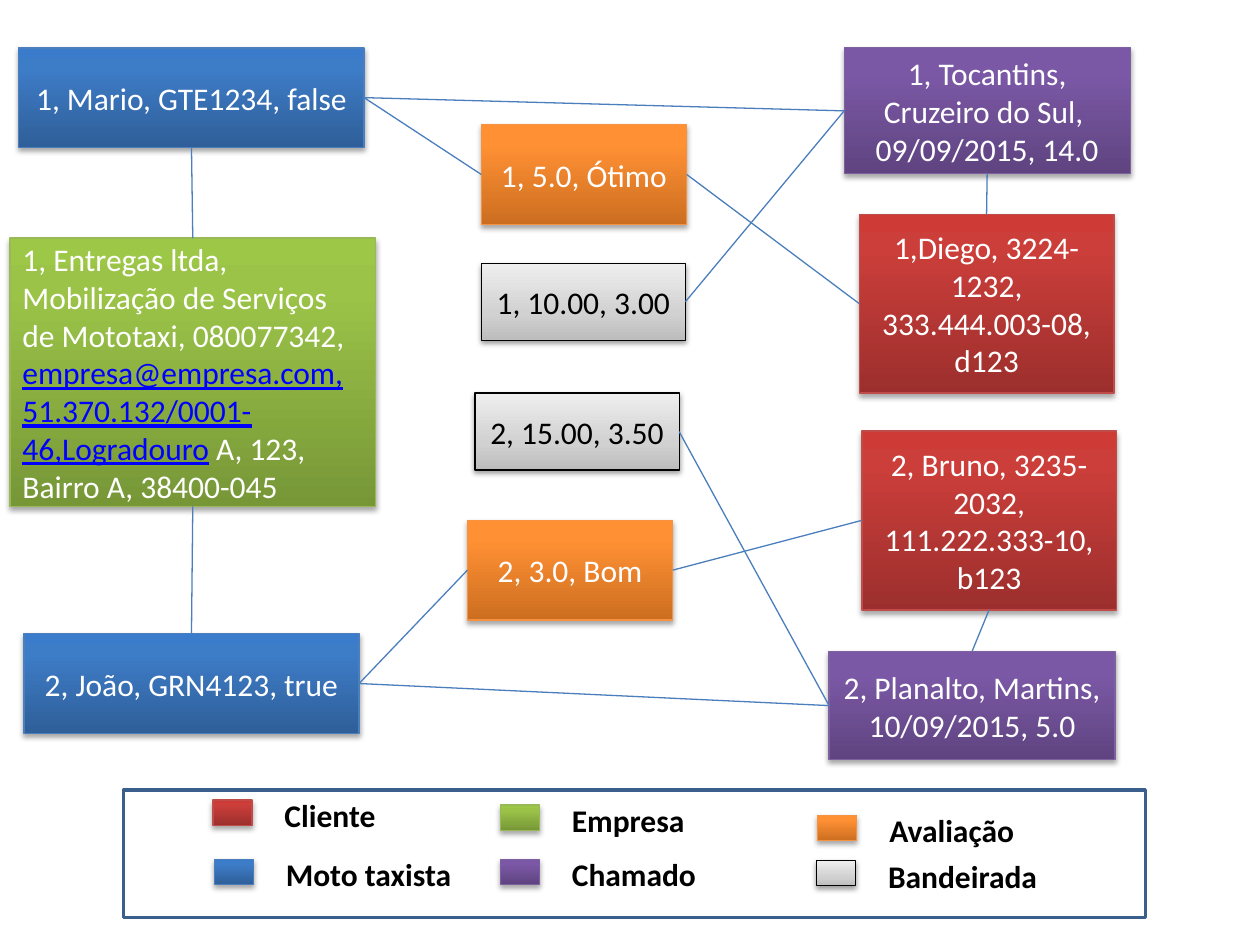
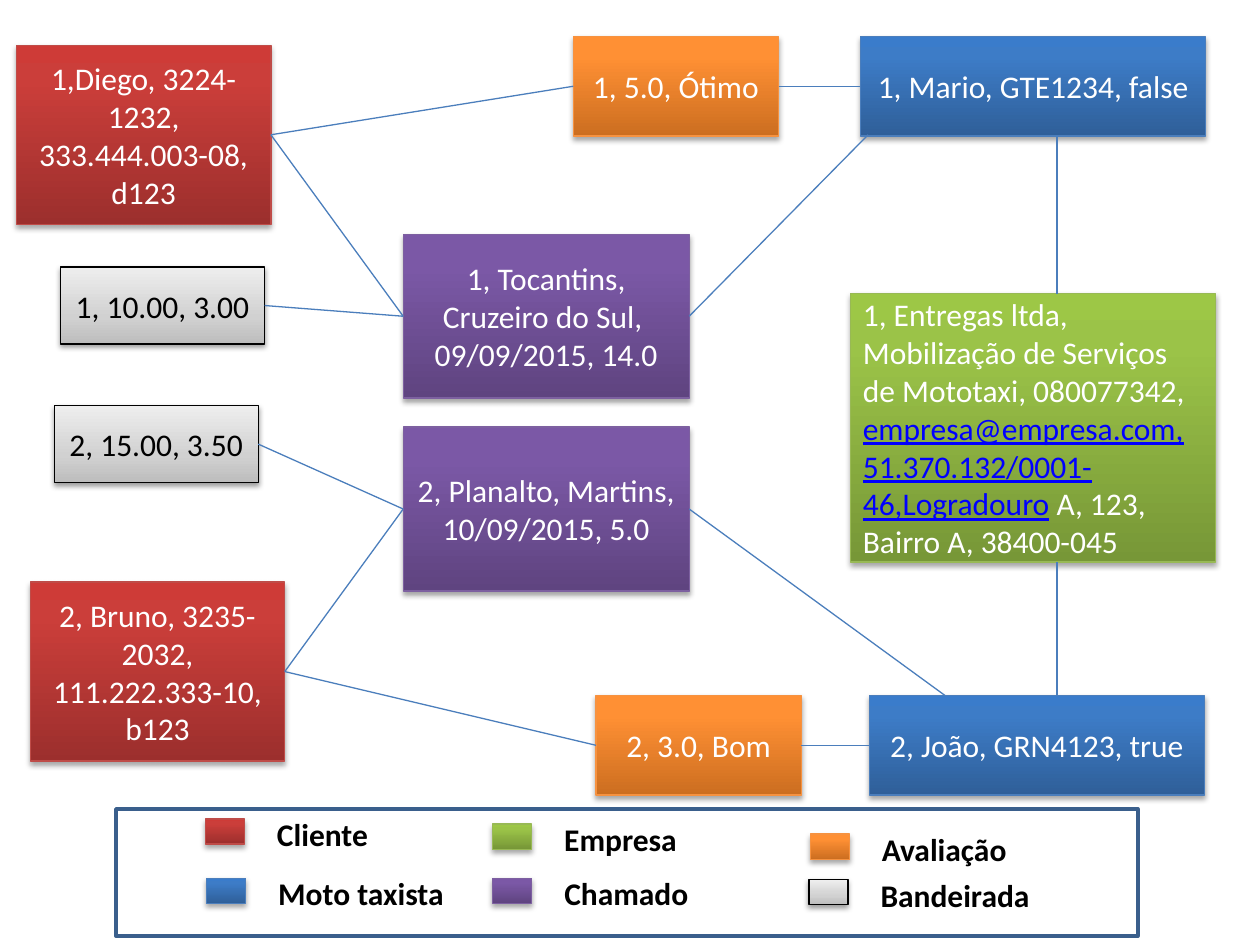
from copy import deepcopy
from dataclasses import dataclass

from pptx import Presentation
from pptx.dml.color import RGBColor
from pptx.enum.shapes import MSO_CONNECTOR as Connector, MSO_SHAPE as Shape
from pptx.enum.text import MSO_ANCHOR as Anchor, MSO_AUTO_SIZE as AutoSize, PP_ALIGN as Align
from pptx.oxml import parse_xml
from pptx.oxml.ns import nsdecls, qn
from pptx.util import Inches, Pt

FONT = "Calibri"
TEXT_SIZE = 18
WHITE, BLACK, LINK_BLUE = "FFFFFF", "000000", "0000FF"
CONNECTOR_LINE, FRAME_LINE = "4B7EBC", "3A5F8C"
FRAME_SIZE = (8.11, 1.01)
SWATCH_SIZE = (0.31, 0.2)

# Connection sites of a rectangle
TOP, LEFT, BOTTOM, RIGHT = range(4)


@dataclass
class Kind:
    """Look of one entity type and its entry in the legend."""
    label: str
    label_width: float
    swatch: tuple  # offset from the corner of the legend frame
    stops: tuple  # colours from bottom to top
    line: str
    middle: float = 0.8
    font: str = WHITE
    shadow_opacity: int = 35
    shadow_distance: float = 1.8


CLIENT = Kind("Cliente", 0.93, (0.71, 0.08), ("9C2F2D", "CB3E3A", "CE3B37"), "BF4C48")
DRIVER = Kind("Moto taxista", 1.53, (0.72, 0.55), ("2F5F99", "3D7CC7", "3A7CCB"), "4B7EBC")
COMPANY = Kind("Empresa", 1.1, (2.99, 0.12), ("779737", "9BC348", "9DC746"), "98B955")
CALL = Kind("Chamado", 1.19, (2.99, 0.55), ("5F4480", "7B58A6", "7C57A8"), "7D60A0")
RATING = Kind("Avaliação", 1.2, (5.51, 0.2), ("CC6E20", "FF9034", "FF9136"), "F69240")
FARE = Kind("Bandeirada", 1.39, (5.5, 0.56), ("BDBDBD", "D1D1D1", "EEEEEE"), BLACK,
            0.35, BLACK, 38, 1.6)
KINDS = (CLIENT, DRIVER, COMPANY, CALL, RATING, FARE)

# Record: kind, width, height, text pieces (every second piece looks like a link)
RECORDS = {
    "entregas": (COMPANY, 2.9, 2.13, (
        "1, Entregas ltda, Mobilização de Serviços de Mototaxi, 080077342, ",
        "empresa@empresa.com, 51.370.132/0001-46,Logradouro",
        " A, 123, Bairro A, 38400-045")),
    "mario": (DRIVER, 2.74, 0.79, ("1, Mario, GTE1234, false",)),
    "joao": (DRIVER, 2.66, 0.79, ("2, João, GRN4123, true",)),
    "otimo": (RATING, 1.63, 0.79, ("1, 5.0, Ótimo",)),
    "bom": (RATING, 1.63, 0.79, ("2, 3.0, Bom",)),
    "diego": (CLIENT, 2.02, 1.42, ("1,Diego, 3224-1232, 333.444.003-08, d123",)),
    "bruno": (CLIENT, 2.02, 1.42, ("2, Bruno, 3235-2032, 111.222.333-10, b123",)),
    "tocantins": (CALL, 2.27, 1.3, ("1, Tocantins, Cruzeiro do Sul,  09/09/2015, 14.0",)),
    "planalto": (CALL, 2.27, 1.3, ("2, Planalto, Martins, 10/09/2015, 5.0",)),
    "fare 1": (FARE, 1.62, 0.61, ("1, 10.00, 3.00",)),
    "fare 2": (FARE, 1.62, 0.61, ("2, 15.00, 3.50",)),
}

# Places: left, top and, where it differs from the record, height.
# Link ends: (record, site) or a free point (x, y).
DIAGRAMS = (
    {
        "legend": (0.98, 6.27),
        "places": {
            "entregas": (0.08, 1.89), "mario": (0.15, 0.38), "joao": (0.19, 5.03),
            "bom": (3.71, 4.13), "otimo": (3.82, 0.99), "diego": (6.82, 1.7),
            "tocantins": (6.7, 0.38, 1), "bruno": (6.84, 3.42),
            "planalto": (6.58, 5.17, 0.86), "fare 1": (3.82, 2.09), "fare 2": (3.77, 3.12),
        },
        "links": (
            (("otimo", LEFT), ("mario", RIGHT)),
            (("bom", LEFT), ("joao", RIGHT)),
            (("mario", RIGHT), ("tocantins", LEFT)),
            (("joao", RIGHT), ("planalto", LEFT)),
            (("otimo", RIGHT), ("diego", LEFT)),
            (("bom", RIGHT), ("bruno", LEFT)),
            (("fare 1", RIGHT), ("tocantins", LEFT)),
            (("fare 2", RIGHT), ("planalto", LEFT)),
            (("bruno", BOTTOM), ("planalto", TOP)),
            (("diego", TOP), ("tocantins", BOTTOM)),
            (("joao", TOP), ("entregas", BOTTOM)),
            (("entregas", TOP), ("mario", BOTTOM)),
        ),
    },
    {
        "legend": (0.92, 6.42),
        "places": {
            "entregas": (6.75, 2.33), "mario": (6.83, 0.29), "joao": (6.9, 5.52),
            "bom": (4.73, 5.52), "otimo": (4.55, 0.29), "diego": (0.13, 0.36),
            "tocantins": (3.2, 1.86), "bruno": (0.24, 4.62), "planalto": (3.2, 3.39),
            "fare 1": (0.48, 2.12), "fare 2": (0.43, 3.22),
        },
        "links": (
            ((8.39, 5.52), (8.39, 4.46)),
            ((8.39, 2.33), (8.39, 1.07)),
            (("otimo", RIGHT), ("mario", LEFT)),
            (("bom", RIGHT), ("joao", LEFT)),
            ((6.89, 1.07), ("tocantins", RIGHT)),
            ((7.5, 5.52), ("planalto", RIGHT)),
            (("otimo", LEFT), ("diego", RIGHT)),
            (("bom", LEFT), ("bruno", RIGHT)),
            (("fare 1", RIGHT), ("tocantins", LEFT)),
            (("fare 2", RIGHT), ("planalto", LEFT)),
            (("bruno", RIGHT), ("planalto", LEFT)),
            (("diego", RIGHT), ("tocantins", LEFT)),
        ),
    },
)


def color(hex_string):
    """Turn a hex string into a colour."""
    return RGBColor.from_string(hex_string)


def set_line(line, hex_string, width=0.75):
    """Give a line its colour and its width in points."""
    line.color.rgb = color(hex_string)
    line.width = Pt(width)


def add_run(paragraph, text, hex_string, bold=False, underline=False):
    """Append one formatted run."""
    run = paragraph.add_run()
    run.text = text
    run.font.name = FONT
    run.font.size = Pt(TEXT_SIZE)
    run.font.bold = bold
    run.font.underline = underline
    run.font.color.rgb = color(hex_string)


def add_box(slide, preset, left, top, width, height):
    """Add a preset shape without the theme's shadow."""
    shape = slide.shapes.add_shape(preset, Inches(left), Inches(top), Inches(width), Inches(height))
    shape.shadow.inherit = False
    return shape


def style_box(shape, kind):
    """Apply the gradient, line and soft shadow of a kind."""
    shape.fill.gradient()
    shape.fill.gradient_angle = 90
    properties = shape._element.spPr
    stop_list = properties.find(".//" + qn("a:gsLst"))
    stop_list.append(deepcopy(stop_list[0]))
    for stop, position, hex_string in zip(shape.fill.gradient_stops, (0, kind.middle, 1), kind.stops):
        stop.position = position
        stop.color.rgb = color(hex_string)
    set_line(shape.line, kind.line)
    properties.find(qn("a:effectLst")).append(parse_xml(
        f'<a:outerShdw {nsdecls("a")} blurRad="{Pt(3.1)}" dist="{Pt(kind.shadow_distance)}" '
        f'dir="5400000" rotWithShape="0"><a:srgbClr val="{BLACK}">'
        f'<a:alpha val="{kind.shadow_opacity * 1000}"/></a:srgbClr></a:outerShdw>'))


def add_record(slide, name, left, top, height=None):
    """Add the box of one record and return it."""
    kind, width, usual_height, pieces = RECORDS[name]
    shape = add_box(slide, Shape.FLOWCHART_PROCESS, left, top, width, height or usual_height)
    style_box(shape, kind)
    frame = shape.text_frame
    frame.word_wrap = True
    frame.vertical_anchor = Anchor.MIDDLE
    paragraph = frame.paragraphs[0]
    paragraph.alignment = Align.LEFT if kind is COMPANY else Align.CENTER
    for index, piece in enumerate(pieces):
        is_link = index % 2 == 1
        add_run(paragraph, piece, LINK_BLUE if is_link else kind.font, underline=is_link)
    return shape


def add_link(slide, boxes, start, end):
    """Draw a line between two ends, glued wherever an end names a record."""
    points = [(0, 0) if end_point[0] in boxes else end_point for end_point in (start, end)]
    connector = slide.shapes.add_connector(
        Connector.STRAIGHT, *(Inches(value) for point in points for value in point))
    for (target, site), connect in ((start, connector.begin_connect), (end, connector.end_connect)):
        if target in boxes:
            connect(boxes[target], site)
    set_line(connector.line, CONNECTOR_LINE)
    connector._element.spPr.append(parse_xml(f'<a:effectLst {nsdecls("a")}/>'))


def add_legend(slide, left, top):
    """Add the framed legend with a swatch and a label for each kind."""
    frame = add_box(slide, Shape.FLOWCHART_PROCESS, left, top, *FRAME_SIZE)
    frame.fill.background()
    set_line(frame.line, FRAME_LINE, 2)
    for kind in KINDS:
        x, y = left + kind.swatch[0], top + kind.swatch[1]
        style_box(add_box(slide, Shape.RECTANGLE, x, y, *SWATCH_SIZE), kind)
        label = slide.shapes.add_textbox(
            Inches(x + 0.47), Inches(y - 0.08), Inches(kind.label_width), Inches(0.4))
        label.text_frame.word_wrap = False
        label.text_frame.auto_size = AutoSize.SHAPE_TO_FIT_TEXT
        add_run(label.text_frame.paragraphs[0], kind.label, BLACK, bold=True)


def add_diagram(presentation, diagram):
    """Add a slide with its legend, records and links."""
    slide = presentation.slides.add_slide(presentation.slide_layouts[6])
    add_legend(slide, *diagram["legend"])
    boxes = {name: add_record(slide, name, *place) for name, place in diagram["places"].items()}
    for start, end in diagram["links"]:
        add_link(slide, boxes, start, end)


def main():
    """Build and save the presentation."""
    presentation = Presentation()
    presentation.slide_width = Inches(10)
    presentation.slide_height = Inches(7.5)
    for diagram in DIAGRAMS:
        add_diagram(presentation, diagram)
    presentation.save("out.pptx")


main()
